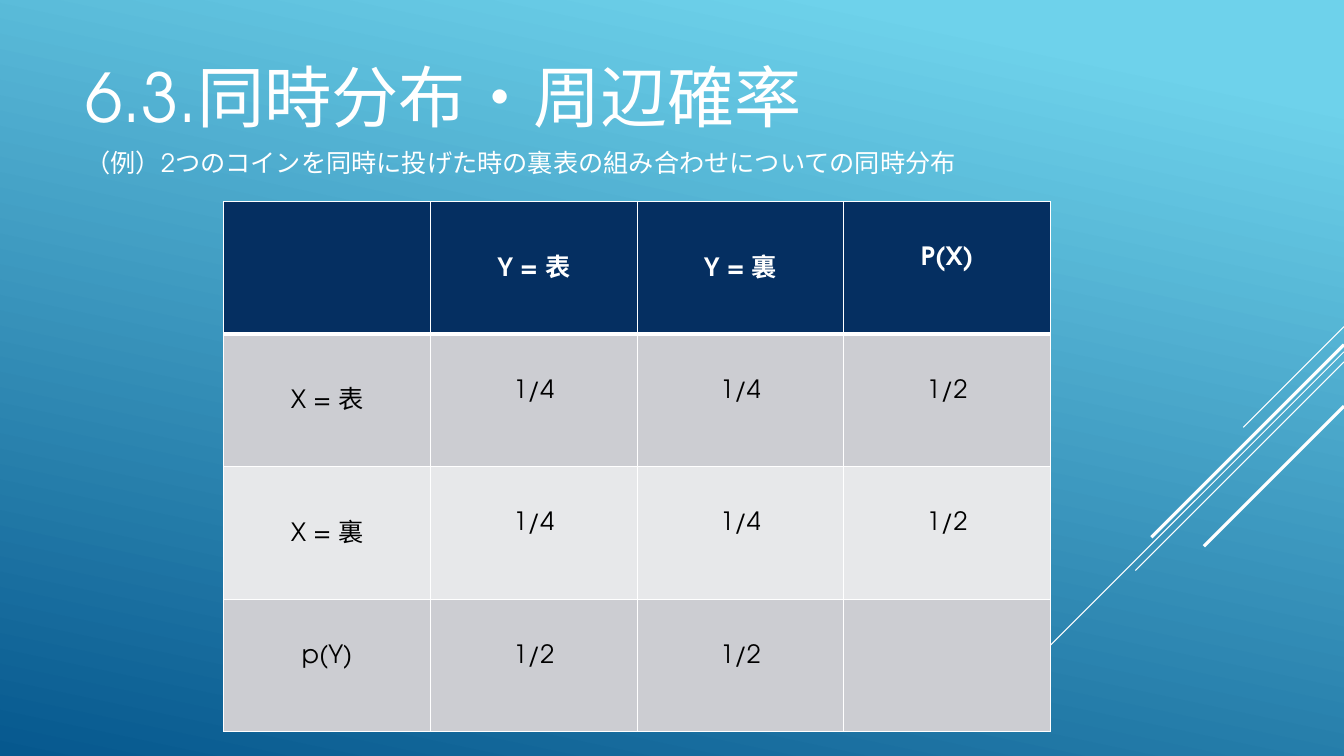
from dataclasses import dataclass

from lxml import etree
from pptx import Presentation
from pptx.dml.color import RGBColor
from pptx.enum.shapes import MSO_CONNECTOR
from pptx.enum.text import MSO_ANCHOR, PP_ALIGN
from pptx.oxml.ns import qn
from pptx.util import Inches, Pt

STRAIGHT = MSO_CONNECTOR.STRAIGHT
TOP, BOTTOM = MSO_ANCHOR.TOP, MSO_ANCHOR.BOTTOM
LEFT, CENTER = PP_ALIGN.LEFT, PP_ALIGN.CENTER
SLIDE_WIDTH, SLIDE_HEIGHT = 13.33, 7.5


@dataclass(frozen=True)
class Theme:
    font: str = "TeX Gyre Adventor"
    white: str = "FFFFFF"
    black: str = "000000"
    sky: str = "6ED2EB"
    ocean: str = "06588E"
    navy: str = "052F61"
    bands: tuple = ("CCCDD2", "E7E8EA")
    title_size: int = 48
    text_size: int = 18
    thin: float = 0.75
    thick: float = 2.25
    border: int = 1
    header_border: int = 3


class SlideBuilder:
    def __init__(self, presentation, theme):
        self.theme = theme
        self.slide = presentation.slides.add_slide(presentation.slide_layouts[6])

    def background(self, angle):
        fill = self.slide.background.fill
        fill.gradient()
        fill.gradient_angle = angle
        stops = ((0.1, self.theme.sky), (1, self.theme.ocean))
        for stop, (position, color) in zip(fill.gradient_stops, stops):
            stop.position = position
            stop.color.rgb = RGBColor.from_string(color)

    def diagonal(self, top, reach, weight):
        """Draw a 45 degree line running down and left from the right edge."""
        line = self.slide.shapes.add_connector(
            STRAIGHT, Inches(SLIDE_WIDTH), Inches(top),
            Inches(SLIDE_WIDTH - reach), Inches(top + reach))
        line.line.color.rgb = RGBColor.from_string(self.theme.white)
        line.line.width = Pt(weight)
        etree.SubElement(line._element.spPr, qn("a:effectLst"))

    def fill_text(self, text_frame, text, size, color, bold=False, **paragraph_format):
        paragraph = text_frame.paragraphs[0]
        for name, value in paragraph_format.items():
            setattr(paragraph, name, value)
        run = paragraph.add_run()
        run.text = text
        font_format = {"name": self.theme.font, "size": Pt(size), "bold": bold}
        for name, value in font_format.items():
            setattr(run.font, name, value)
        run.font.color.rgb = RGBColor.from_string(color)

    def text(self, box, text, size, anchor, **paragraph_format):
        shape = self.slide.shapes.add_textbox(*map(Inches, box))
        shape.text_frame.word_wrap = True
        shape.text_frame.vertical_anchor = anchor
        self.fill_text(shape.text_frame, text, size, self.theme.white,
                       alignment=LEFT, **paragraph_format)

    def border(self, cell, side, weight):
        properties = cell._tc.get_or_add_tcPr()
        line = etree.SubElement(properties, qn(f"a:ln{side}"), w=str(Pt(weight)))
        fill = etree.SubElement(line, qn("a:solidFill"))
        etree.SubElement(fill, qn("a:srgbClr"), val=self.theme.white)

    def table(self, box, rows, margin_top):
        theme = self.theme
        table = self.slide.shapes.add_table(
            len(rows), len(rows[0]), *map(Inches, box)).table
        for row_index, row in enumerate(rows):
            header = row_index == 0
            fill = theme.navy if header else theme.bands[(row_index - 1) % 2]
            color = theme.white if header else theme.black
            heavy_side = {0: "B", 1: "T"}.get(row_index)
            for column_index, text in enumerate(row):
                cell = table.cell(row_index, column_index)
                for side in "LRTB":
                    heavy = side == heavy_side
                    self.border(cell, side, theme.header_border if heavy else theme.border)
                cell.fill.solid()
                cell.fill.fore_color.rgb = RGBColor.from_string(fill)
                cell.margin_top = Inches(margin_top)
                cell.vertical_anchor = TOP
                if text:
                    self.fill_text(cell.text_frame, text, theme.text_size, color,
                                   bold=header, alignment=CENTER)


def main():
    presentation = Presentation()
    presentation.slide_width = Inches(SLIDE_WIDTH)
    presentation.slide_height = Inches(SLIDE_HEIGHT)
    theme = Theme()
    builder = SlideBuilder(presentation, theme)

    builder.background(angle=258)
    diagonals = (
        (3.24, 1, theme.thin),
        (3.49, 3.26, theme.thin),
        (3.59, 2.07, theme.thin),
        (3.42, 1.91, theme.thick),
        (4.03, 1.39, theme.thick),
    )
    for top, reach, weight in diagonals:
        builder.diagonal(top, reach, weight)

    builder.text((0.75, 0.47, 9.33, 0.94), "6.3.同時分布・周辺確率",
                 theme.title_size, BOTTOM, line_spacing=0.9)
    builder.text((0.75, 1.41, 9.33, 0.39),
                 "（例）2つのコインを同時に投げた時の裏表の組み合わせについての同時分布",
                 theme.text_size, TOP, space_after=Pt(6))
    builder.table((2.22, 2, 8.2, 5.26), (
        ("", "Y = 表", "Y = 裏", "P(X)"),
        ("X = 表", "1/4", "1/4", "1/2"),
        ("X = 裏", "1/4", "1/4", "1/2"),
        ("p(Y)", "1/2", "1/2", ""),
    ), margin_top=0.45)
    presentation.save("out.pptx")


if __name__ == "__main__":
    main()
